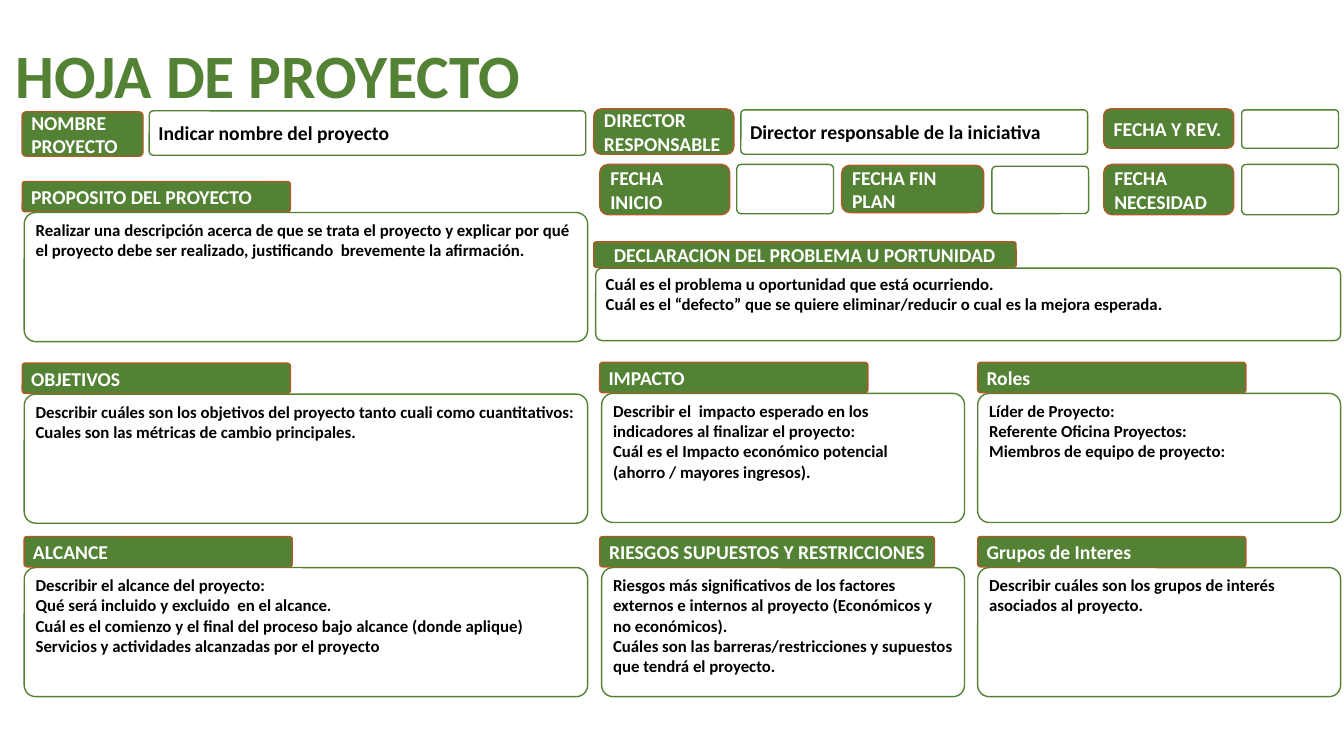
from dataclasses import dataclass

from pptx import Presentation
from pptx.dml.color import RGBColor
from pptx.enum.shapes import MSO_SHAPE
from pptx.enum.text import MSO_ANCHOR, PP_ALIGN
from pptx.util import Pt


@dataclass(frozen=True)
class Theme:
    """Colours, font and type sizes of the project sheet."""
    green: RGBColor = RGBColor(0x54, 0x82, 0x35)
    rust: RGBColor = RGBColor(0xAF, 0x5C, 0x24)
    white: RGBColor = RGBColor(255, 255, 255)
    black: RGBColor = RGBColor(0, 0, 0)
    font: str = "Calibri"
    title: int = 44
    label: int = 14
    body: int = 12


THEME = Theme()

LABELS = [
    ("NOMBRE PROYECTO", 15.8, 79.9, 86.4, 31.7, 0.089),
    ("DIRECTOR RESPONSABLE", 424.1, 77.8, 100.1, 32.4, 0.167),
    ("FECHA Y REV.", 788.4, 77.8, 92.9, 28.1, 0.167),
    ("FECHA INICIO", 428.4, 117.4, 92.9, 36, 0.167),
    ("FECHA FIN PLAN", 601.2, 118.1, 101.5, 33.8, 0.167),
    ("FECHA NECESIDAD", 788.4, 117.4, 92.9, 36, 0.167),
]

FIELDS = [
    ("Indicar nombre del proyecto", 106.6, 79.2, 311.8, 31.7),
    ("Director responsable de la iniciativa", 529.2, 78.5, 247.7, 31.7),
    ("", 887, 78.5, 69.1, 27.4),
    ("", 526.3, 117.4, 69.1, 35.3),
    ("", 708.5, 118.8, 69.1, 33.8),
    ("", 887, 117.4, 69.1, 36),
]

LEFT, MID, RIGHT = (17.3, 402.5), (429.8, 259.2), (698.4, 259.2)

PANELS = [
    ("PROPOSITO DEL PROYECTO", [
        "Realizar una descripción acerca de que se trata el proyecto y explicar por qué "
        "el proyecto debe ser realizado, justificando  brevemente la afirmación."],
     LEFT, 151.8, {"shift": 1.4}),
    ("DECLARACION DEL PROBLEMA U PORTUNIDAD", [
        "Cuál es el problema u oportunidad que está ocurriendo.",
        "Cuál es el “defecto” que se quiere eliminar/reducir o cual es la mejora esperada."],
     (425.5, 532.1), 191.5,
     {"shift": 1.4, "tab": 301.7, "rise": 18.7, "high": 51.8, "align": PP_ALIGN.CENTER}),
    ("OBJETIVOS", [
        "Describir cuáles son los objetivos del proyecto tanto cuali como cuantitativos:",
        "Cuales son las métricas de cambio principales."],
     LEFT, 281.5, {"shift": 1.4}),
    ("IMPACTO", [
        "Describir el  impacto esperado en los indicadores al finalizar el proyecto:",
        "Cuál es el Impacto económico potencial (ahorro / mayores ingresos)."],
     MID, 281, {"shift": 1.4}),
    ("Roles", [
        "Líder de Proyecto:",
        "Referente Oficina Proyectos:",
        "Miembros de equipo de proyecto:"],
     RIGHT, 281, {}),
    ("ALCANCE", [
        "Describir el alcance del proyecto:",
        "Qué será incluido y excluido  en el alcance.",
        "Cuál es el comienzo y el final del proceso bajo alcance (donde aplique)",
        "Servicios y actividades alcanzadas por el proyecto"],
     LEFT, 405.4, {}),
    ("RIESGOS SUPUESTOS Y RESTRICCIONES", [
        "Riesgos más significativos de los factores externos e internos al proyecto "
        "(Económicos y no económicos).",
        "Cuáles son las barreras/restricciones y supuestos que tendrá el proyecto."],
     MID, 405.4, {"shift": 1.4, "tab": 239, "align": PP_ALIGN.CENTER}),
    ("Grupos de Interes", [
        "Describir cuáles son los grupos de interés asociados al proyecto."],
     RIGHT, 405.4, {}),
]


def write(frame, lines, size=THEME.label, color=THEME.black, align=PP_ALIGN.LEFT,
          anchor=MSO_ANCHOR.MIDDLE, inset=(5.76, 2.88), space=1.0):
    """Fill a text frame with bold lines, one paragraph each."""
    frame.word_wrap = True
    frame.vertical_anchor = anchor
    frame.margin_left = frame.margin_right = Pt(inset[0])
    frame.margin_top = frame.margin_bottom = Pt(inset[1])
    for i, line in enumerate(lines):
        para = frame.add_paragraph() if i else frame.paragraphs[0]
        para.alignment = align
        para.line_spacing = space
        run = para.add_run()
        run.text = line
        run.font.name = THEME.font
        run.font.size = Pt(size)
        run.font.bold = True
        run.font.color.rgb = color


def add_box(slide, x, y, wide, high, fill, line, curve=0.089):
    """Draw a rounded box and return its text frame."""
    box = slide.shapes.add_shape(MSO_SHAPE.ROUNDED_RECTANGLE,
                                 Pt(x), Pt(y), Pt(wide), Pt(high))
    box.shadow.inherit = False
    box.adjustments[0] = curve
    box.fill.solid()
    box.fill.fore_color.rgb = fill
    box.line.color.rgb = line
    box.line.width = Pt(1)
    return box.text_frame


def add_label(slide, text, x, y, wide, high, curve=0.089, align=PP_ALIGN.LEFT):
    """Draw a green label with white text."""
    frame = add_box(slide, x, y, wide, high, THEME.green, THEME.rust, curve)
    write(frame, [text], color=THEME.white, align=align)


def add_field(slide, text, x, y, wide, high):
    """Draw a white entry field, blank if it has no text."""
    frame = add_box(slide, x, y, wide, high, THEME.white, THEME.green)
    if text:
        write(frame, [text])


def add_panel(slide, head, lines, column, y, shift=0, tab=191.5, rise=22.1,
              high=92.2, align=PP_ALIGN.LEFT):
    """Draw a body box with a heading tab on top of it."""
    x, wide = column
    add_label(slide, head, x - shift, y - rise, tab, rise - 0.5, align=align)
    frame = add_box(slide, x, y, wide, high, THEME.white, THEME.green)
    write(frame, lines, size=THEME.body, anchor=MSO_ANCHOR.TOP)


def add_title(slide, text):
    """Place the sheet title."""
    box = slide.shapes.add_textbox(Pt(4.3), Pt(3.6), Pt(805.7), Pt(104.4))
    write(box.text_frame, [text], size=THEME.title, color=THEME.green,
          inset=(7.2, 3.6), space=0.9)


def main():
    """Build and save the project sheet."""
    deck = Presentation()
    deck.slide_width, deck.slide_height = Pt(960), Pt(540)
    slide = deck.slides.add_slide(deck.slide_layouts[6])
    for label in LABELS:
        add_label(slide, *label)
    for field in FIELDS:
        add_field(slide, *field)
    for head, lines, column, y, style in PANELS:
        add_panel(slide, head, lines, column, y, **style)
    add_title(slide, "HOJA DE PROYECTO")
    deck.save("out.pptx")


if __name__ == "__main__":
    main()
